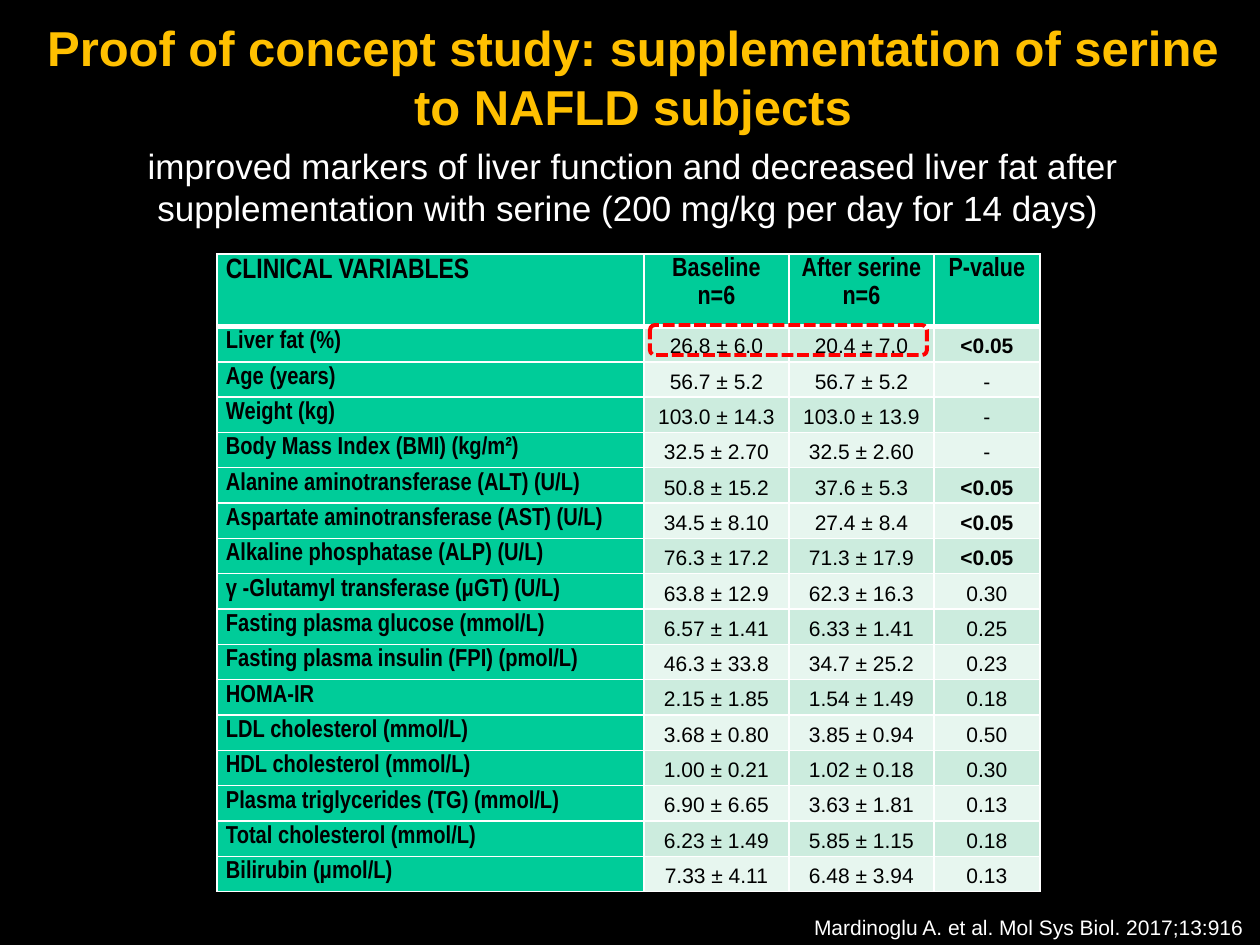
from lxml.etree import SubElement
from pptx import Presentation
from pptx.dml.color import RGBColor
from pptx.enum.dml import MSO_LINE
from pptx.enum.shapes import MSO_SHAPE
from pptx.enum.text import MSO_ANCHOR, PP_ALIGN
from pptx.oxml.ns import qn
from pptx.util import Emu, Pt

PX_PER_INCH = 126
GREEN, BAND_DARK, BAND_LIGHT = "00CC99", "CCECDE", "E7F6EF"
COLUMN_WIDTHS = (427, 145, 145, 106)
HEADER_HEIGHT, BODY_HEIGHT = 72, 565
HEADINGS = ("CLINICAL VARIABLES", "Baseline\nn=6", "After serine\nn=6", "P-value")
CLINICAL_ROWS = (
    ("Liver fat (%)", "26.8 ± 6.0", "20.4 ± 7.0", "<0.05"),
    ("Age (years)", "56.7 ± 5.2", "56.7 ± 5.2", "-"),
    ("Weight (kg)", "103.0 ± 14.3", "103.0 ± 13.9", "-"),
    ("Body Mass Index (BMI) (kg/m²)", "32.5 ± 2.70", "32.5 ± 2.60", "-"),
    ("Alanine aminotransferase (ALT) (U/L)", "50.8 ± 15.2", "37.6 ± 5.3", "<0.05"),
    ("Aspartate aminotransferase (AST) (U/L)", "34.5 ± 8.10", "27.4 ± 8.4", "<0.05"),
    ("Alkaline phosphatase (ALP) (U/L)", "76.3 ± 17.2", "71.3 ± 17.9", "<0.05"),
    ("γ -Glutamyl transferase (μGT) (U/L)", "63.8 ± 12.9", "62.3 ± 16.3", "0.30"),
    ("Fasting plasma glucose (mmol/L)", "6.57 ± 1.41", "6.33 ± 1.41", "0.25"),
    ("Fasting plasma insulin (FPI) (pmol/L)", "46.3 ± 33.8", "34.7 ± 25.2", "0.23"),
    ("HOMA-IR", "2.15 ± 1.85", "1.54 ± 1.49", "0.18"),
    ("LDL cholesterol (mmol/L)", "3.68 ± 0.80", "3.85 ± 0.94", "0.50"),
    ("HDL cholesterol (mmol/L)", "1.00 ± 0.21", "1.02 ± 0.18", "0.30"),
    ("Plasma triglycerides (TG) (mmol/L)", "6.90 ± 6.65", "3.63 ± 1.81", "0.13"),
    ("Total cholesterol (mmol/L)", "6.23 ± 1.49", "5.85 ± 1.15", "0.18"),
    ("Bilirubin (μmol/L)", "7.33 ± 4.11", "6.48 ± 3.94", "0.13"),
)


def px(length):
    return Emu(round(length * 914400 / PX_PER_INCH))


def rgb(hex_color):
    return RGBColor.from_string(hex_color)


def write(paragraph, text, size, font="Arial", color="000000", bold=False,
          align=PP_ALIGN.CENTER, line=None, before=None, after=None):
    paragraph.alignment = align
    paragraph.line_spacing = line
    if before is not None:
        paragraph.space_before = Pt(before)
    if after is not None:
        paragraph.space_after = Pt(after)
    run = paragraph.add_run()
    run.text = text
    run.font.size = Pt(size)
    run.font.name = font
    run.font.bold = bold
    run.font.color.rgb = rgb(color)


def add_text_frame(slide, x, y, width, height, anchor=MSO_ANCHOR.TOP):
    frame = slide.shapes.add_textbox(px(x), px(y), px(width), px(height)).text_frame
    frame.word_wrap = True
    frame.vertical_anchor = anchor
    return frame


def set_borders(cell, bottom):
    """Draw white cell edges, 1 pt wide except for the bottom one."""
    properties = cell._tc.get_or_add_tcPr()
    for index, (tag, width) in enumerate((("a:lnL", 1), ("a:lnR", 1), ("a:lnT", 1), ("a:lnB", bottom))):
        edge = properties.makeelement(qn(tag), {"w": str(Pt(width))})
        fill = SubElement(edge, qn("a:solidFill"))
        SubElement(fill, qn("a:srgbClr"), val="FFFFFF")
        properties.insert(index, edge)


def fill_cell(cell, text, fill, anchor=MSO_ANCHOR.TOP, border_bottom=1, **text_format):
    cell.margin_left = cell.margin_right = px(9)
    cell.margin_top = cell.margin_bottom = 0
    cell.vertical_anchor = anchor
    cell.fill.solid()
    cell.fill.fore_color.rgb = rgb(fill)
    set_borders(cell, border_bottom)
    frame = cell.text_frame
    for index, line_text in enumerate(text.split("\n")):
        paragraph = frame.add_paragraph() if index else frame.paragraphs[0]
        write(paragraph, line_text, **text_format)


def add_clinical_table(slide, x, y):
    table = slide.shapes.add_table(
        len(CLINICAL_ROWS) + 1, len(COLUMN_WIDTHS), px(x), px(y),
        px(sum(COLUMN_WIDTHS)), px(HEADER_HEIGHT + BODY_HEIGHT)).table
    table.first_row = table.horz_banding = False
    for column, width in zip(table.columns, COLUMN_WIDTHS):
        column.width = px(width)
    for row in table.rows:
        row.height = px(BODY_HEIGHT / len(CLINICAL_ROWS))
    table.rows[0].height = px(HEADER_HEIGHT)

    for column, heading in enumerate(HEADINGS):
        fill_cell(table.cell(0, column), heading, GREEN, border_bottom=3,
                  size=15 if column else 16, font="Arial Narrow", bold=True, line=1.15,
                  align=PP_ALIGN.CENTER if column else PP_ALIGN.LEFT)
    for row, (variable, *values) in enumerate(CLINICAL_ROWS, 1):
        fill_cell(table.cell(row, 0), variable, GREEN, size=14, font="Arial Narrow",
                  bold=True, align=PP_ALIGN.LEFT, line=1.2, after=4)
        band = BAND_DARK if row % 2 else BAND_LIGHT
        for column, value in enumerate(values, 1):
            fill_cell(table.cell(row, column), value, band, anchor=MSO_ANCHOR.MIDDLE,
                      size=12, bold=value.startswith("<"), line=1.2, after=4)


def add_dashed_highlight(slide, x, y, width, height):
    highlight = slide.shapes.add_shape(
        MSO_SHAPE.ROUNDED_RECTANGLE, px(x), px(y), px(width), px(height))
    highlight.shadow.inherit = False
    highlight.fill.background()
    highlight.line.color.rgb = rgb("FF0000")
    highlight.line.width = Pt(2.25)
    highlight.line.dash_style = MSO_LINE.SQUARE_DOT


def main():
    presentation = Presentation()
    presentation.slide_width, presentation.slide_height = px(1260), px(945)
    slide = presentation.slides.add_slide(presentation.slide_layouts[6])
    slide.background.fill.solid()
    slide.background.fill.fore_color.rgb = rgb("000000")

    heading = add_text_frame(slide, 5, 11, 1256, 224, MSO_ANCHOR.MIDDLE)
    write(heading.paragraphs[0],
          "Proof of concept study: supplementation of serine to NAFLD subjects",
          size=28, color="FFC000", bold=True)
    write(heading.add_paragraph(),
          "improved markers of liver function and decreased liver fat after "
          "supplementation with serine (200 mg/kg per day for 14 days) ",
          size=20, color="FFFFFF", before=5)

    add_clinical_table(slide, 217, 254)
    add_dashed_highlight(slide, 650, 325, 277, 30)

    citation = add_text_frame(slide, 476, 908, 780, 38)
    write(citation.paragraphs[0], "Mardinoglu A. et al. Mol Sys Biol. 2017;13:916",
          size=12, color="FFFFFF", align=PP_ALIGN.RIGHT)
    presentation.save("out.pptx")


if __name__ == "__main__":
    main()
